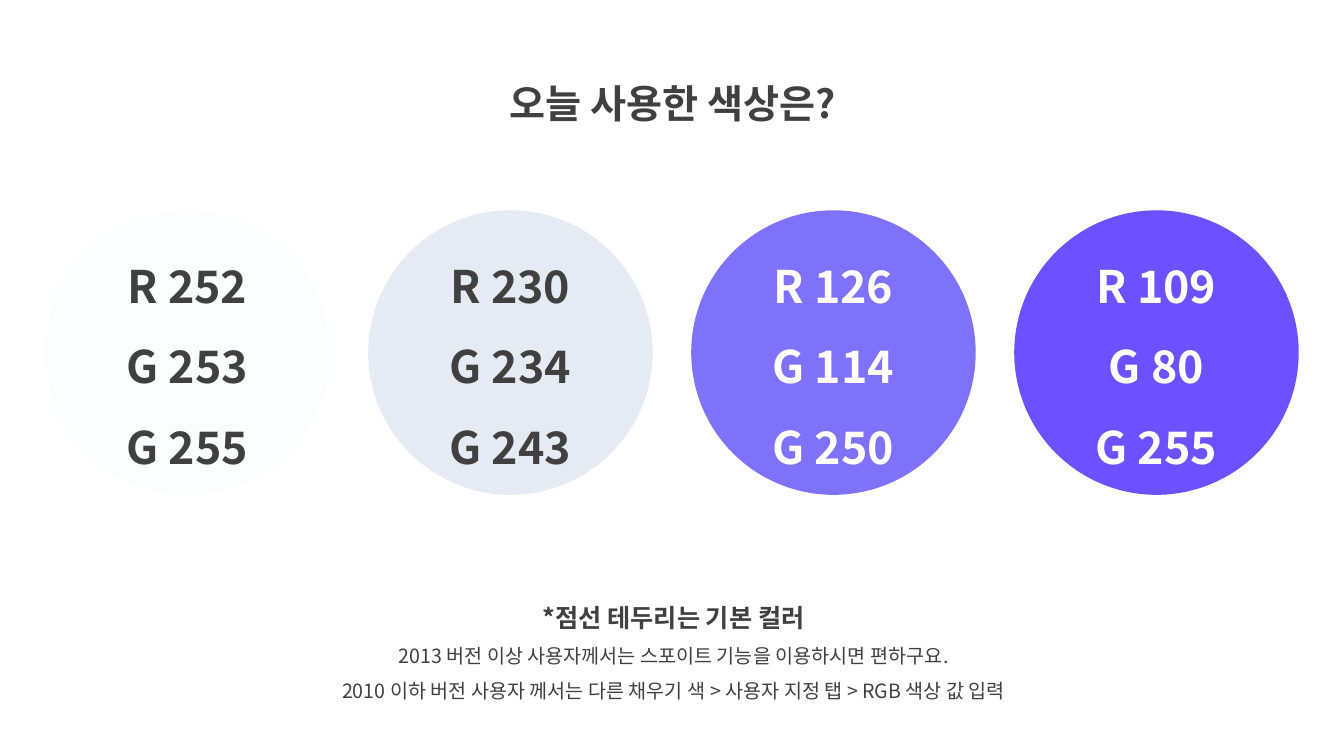
from lxml import etree
from pptx import Presentation
from pptx.dml.color import RGBColor
from pptx.enum.shapes import MSO_SHAPE
from pptx.enum.text import MSO_ANCHOR, MSO_AUTO_SIZE, PP_ALIGN
from pptx.oxml.ns import qn
from pptx.util import Cm, Pt

ELLIPSE = MSO_SHAPE.OVAL
TOP, MIDDLE = MSO_ANCHOR.TOP, MSO_ANCHOR.MIDDLE
CENTER = PP_ALIGN.CENTER
NO_FIT = MSO_AUTO_SIZE.NONE


def color(value):
    return RGBColor.from_string(value)


class Deck:
    font = "Noto Sans CJK KR"
    dark = "404040"
    light = "FFFFFF"
    spacing = 1.5

    def __init__(self, prs):
        self.s = prs.slides.add_slide(prs.slide_layouts[5])
        self.s.background.fill.solid()
        self.s.background.fill.fore_color.rgb = color(self.light)

    def set_lines(self, sp, lines, ink, anchor):
        tf = sp.text_frame
        tf.word_wrap = True
        tf.auto_size = NO_FIT
        tf.vertical_anchor = anchor
        for i, (text, size, bold) in enumerate(lines):
            p = tf.add_paragraph() if i else tf.paragraphs[0]
            p.text = text
            p.alignment = CENTER
            p.line_spacing = self.spacing
            p.space_before = Pt(0)
            p.font.size = Pt(size)
            p.font.bold = bold
            p.font.color.rgb = color(ink)
            p.font.name = self.font
            props = p._p.get_or_add_pPr().get_or_add_defRPr()
            etree.SubElement(props, qn("a:ea"), typeface=self.font)

    def title(self, text, left, top, width, height):
        sp = self.s.shapes.title
        sp.left, sp.top, sp.width, sp.height = map(Cm, (left, top, width, height))
        self.set_lines(sp, [(text, 28, True)], self.dark, TOP)

    def text(self, lines, left, top, width, height):
        sp = self.s.shapes.add_textbox(*map(Cm, (left, top, width, height)))
        self.set_lines(sp, lines, self.dark, TOP)

    def swatch(self, rgb, ink, left, top, size):
        sp = self.s.shapes.add_shape(ELLIPSE, *map(Cm, (left, top, size, size)))
        sp.shadow.inherit = False
        sp.fill.solid()
        sp.fill.fore_color.rgb = color("".join(f"{value:02X}" for value in rgb))
        sp.line.fill.background()
        lines = [(f"{label} {value}", 32, True) for label, value in zip("RGG", rgb)]
        self.set_lines(sp, lines, ink, MIDDLE)


def main():
    prs = Presentation()
    prs.slide_width, prs.slide_height = Cm(33.87), Cm(19.05)
    deck = Deck(prs)
    deck.title("오늘 사용한 색상은?", 11.07, 1.27, 11.76, 1.83)

    swatches = [
        ((252, 253, 255), deck.dark),
        ((230, 234, 243), deck.dark),
        ((126, 114, 250), deck.light),
        ((109, 80, 255), deck.light),
    ]
    for i, (rgb, ink) in enumerate(swatches):
        deck.swatch(rgb, ink, 1.14 + 8.14 * i, 5.3, 7.17)

    deck.text([
        ("*점선 테두리는 기본 컬러", 18, True),
        ("2013 버전 이상 사용자께서는 스포이트 기능을 이용하시면 편하구요.", 14, False),
        ("2010 이하 버전 사용자 께서는 다른 채우기 색 > 사용자 지정 탭 > RGB 색상 값 입력", 14, False),
    ], 6.83, 14.66, 20.29, 3.2)
    prs.save("out.pptx")


if __name__ == "__main__":
    main()
